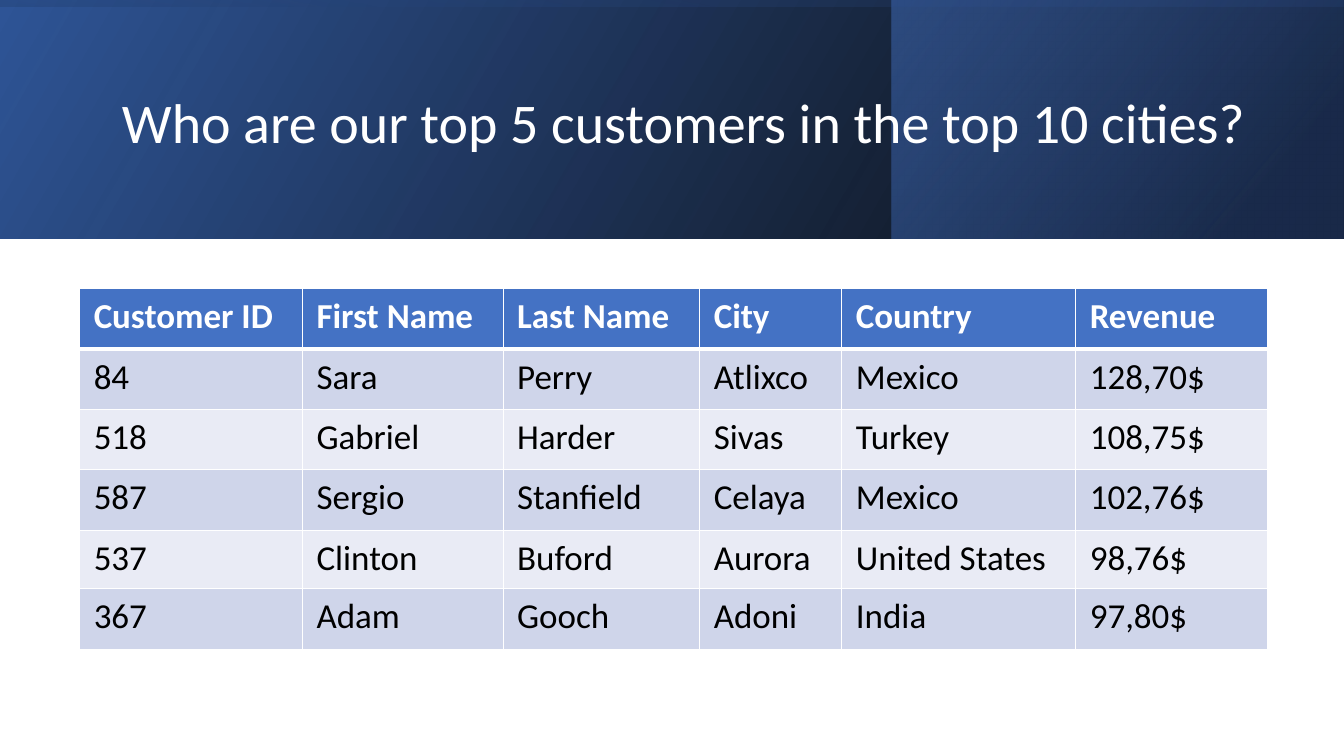
from dataclasses import dataclass

from lxml import etree
from pptx import Presentation
from pptx.dml.color import RGBColor
from pptx.enum.shapes import MSO_SHAPE
from pptx.enum.text import MSO_ANCHOR, MSO_AUTO_SIZE, PP_ALIGN
from pptx.oxml.ns import qn
from pptx.util import Inches, Pt

RECTANGLE = MSO_SHAPE.RECTANGLE
MIDDLE = MSO_ANCHOR.MIDDLE
NO_FIT = MSO_AUTO_SIZE.NONE
LEFT = PP_ALIGN.LEFT
TITLE_ONLY = 5


@dataclass(frozen=True)
class Theme:
    font: str = "Calibri"
    title_size: int = 40
    table_size: int = 25
    white: str = "FFFFFF"
    black: str = "000000"
    blue: str = "4472C4"
    deep_blue: str = "2F5597"
    navy: str = "203864"
    bands: tuple = ("CFD5EA", "E9EBF5")
    thin_line: int = 1
    heavy_line: int = 3


THEME = Theme()

TITLE = "Who are our top 5 customers in the top 10 cities?"
CUSTOMERS = [
    ("Customer ID", "First Name", "Last Name", "City", "Country", "Revenue"),
    ("84", "Sara", "Perry", "Atlixco", "Mexico", "128,70$"),
    ("518", "Gabriel", "Harder", "Sivas", "Turkey", "108,75$"),
    ("587", "Sergio", "Stanfield", "Celaya", "Mexico", "102,76$"),
    ("537", "Clinton", "Buford", "Aurora", "United States", "98,76$"),
    ("367", "Adam", "Gooch", "Adoni", "India", "97,80$"),
]
COLUMN_WIDTHS = (2.21, 1.99, 1.95, 1.41, 2.32, 1.9)
ROW_HEIGHTS = (0.6, 0.6, 0.6, 0.6, 0.58, 0.6)

SLIDE_WIDTH, SLIDE_HEIGHT = 13.33, 7.5
HEADER_HEIGHT = 2.37
OFFSET = (SLIDE_WIDTH - HEADER_HEIGHT) / 2
HEADER_PANELS = [
    {"at": (0, 0, SLIDE_WIDTH, HEADER_HEIGHT), "rotation": 0, "angle": 330,
     "stops": [(0, THEME.black, 96), (100, THEME.deep_blue, 100)]},
    {"at": (8.84, 0, 4.48, HEADER_HEIGHT), "rotation": 0, "angle": 320,
     "stops": [(19, THEME.navy, 68), (100, THEME.blue, 48)]},
    {"at": (OFFSET, -OFFSET, HEADER_HEIGHT, SLIDE_WIDTH), "rotation": 270, "angle": 350,
     "stops": [(23, THEME.deep_blue, 16), (99, THEME.black, 45)]},
]


def add_color(parent, color, opacity=100):
    node = etree.SubElement(parent, qn("a:srgbClr"), val=color)
    if opacity < 100:
        etree.SubElement(node, qn("a:alpha"), val=str(opacity * 1000))


def add_panel(slide, at, rotation, angle, stops):
    panel = slide.shapes.add_shape(RECTANGLE, *map(Inches, at))
    panel.shadow.inherit = False
    panel.rotation = rotation
    panel.line.fill.background()
    properties = panel.element.spPr
    properties.find(qn("a:xfrm")).set("flipH", "1")
    gradient = etree.Element(qn("a:gradFill"), rotWithShape="1")
    stop_list = etree.SubElement(gradient, qn("a:gsLst"))
    for position, color, opacity in stops:
        stop = etree.SubElement(stop_list, qn("a:gs"), pos=str(position * 1000))
        add_color(stop, color, opacity)
    etree.SubElement(gradient, qn("a:lin"), ang=str(angle * 60000), scaled="0")
    properties.find(qn("a:prstGeom")).addnext(gradient)


def write_text(frame, text, size, color, bold=False, spacing=None):
    para = frame.paragraphs[0]
    para.alignment = LEFT
    para.line_spacing = spacing
    span = para.add_run()
    span.text = text
    span.font.name = THEME.font
    span.font.size = Pt(size)
    span.font.bold = bold
    span.font.color.rgb = RGBColor.from_string(color)


def set_borders(cell, top, bottom):
    properties = cell._tc.get_or_add_tcPr()
    widths = {"a:lnL": THEME.thin_line, "a:lnR": THEME.thin_line, "a:lnT": top, "a:lnB": bottom}
    for index, (side, width) in enumerate(widths.items()):
        line = etree.Element(qn(side), w=str(Pt(width)))
        add_color(etree.SubElement(line, qn("a:solidFill")), THEME.white)
        properties.insert(index, line)


def add_title(slide):
    title = slide.shapes.title
    title.left, title.top, title.width, title.height = map(Inches, (1.11, 0.38, 11.37, 1.72))
    title.element.getparent().append(title.element)
    frame = title.text_frame
    frame.word_wrap = True
    frame.auto_size = NO_FIT
    frame.vertical_anchor = MIDDLE
    write_text(frame, TITLE, THEME.title_size, THEME.white, spacing=0.9)


def add_customer_table(slide):
    place = map(Inches, (0.79, 2.86, sum(COLUMN_WIDTHS), sum(ROW_HEIGHTS)))
    table = slide.shapes.add_table(len(CUSTOMERS), len(COLUMN_WIDTHS), *place).table
    for column, width in zip(table.columns, COLUMN_WIDTHS):
        column.width = Inches(width)
    for row, height in zip(table.rows, ROW_HEIGHTS):
        row.height = Inches(height)
    for row_index, record in enumerate(CUSTOMERS):
        header = row_index == 0
        fill = THEME.blue if header else THEME.bands[(row_index - 1) % 2]
        top = THEME.heavy_line if row_index == 1 else THEME.thin_line
        bottom = THEME.heavy_line if header else THEME.thin_line
        for column_index, text in enumerate(record):
            cell = table.cell(row_index, column_index)
            cell.margin_left = cell.margin_right = Inches(0.14)
            cell.margin_top = cell.margin_bottom = Inches(0.07)
            cell.fill.solid()
            cell.fill.fore_color.rgb = RGBColor.from_string(fill)
            set_borders(cell, top, bottom)
            color = THEME.white if header else THEME.black
            write_text(cell.text_frame, text, THEME.table_size, color, bold=header)


def main():
    deck = Presentation()
    deck.slide_width, deck.slide_height = Inches(SLIDE_WIDTH), Inches(SLIDE_HEIGHT)
    page = deck.slides.add_slide(deck.slide_layouts[TITLE_ONLY])
    for panel in HEADER_PANELS:
        add_panel(page, **panel)
    add_title(page)
    add_customer_table(page)
    deck.save("out.pptx")


if __name__ == "__main__":
    main()
